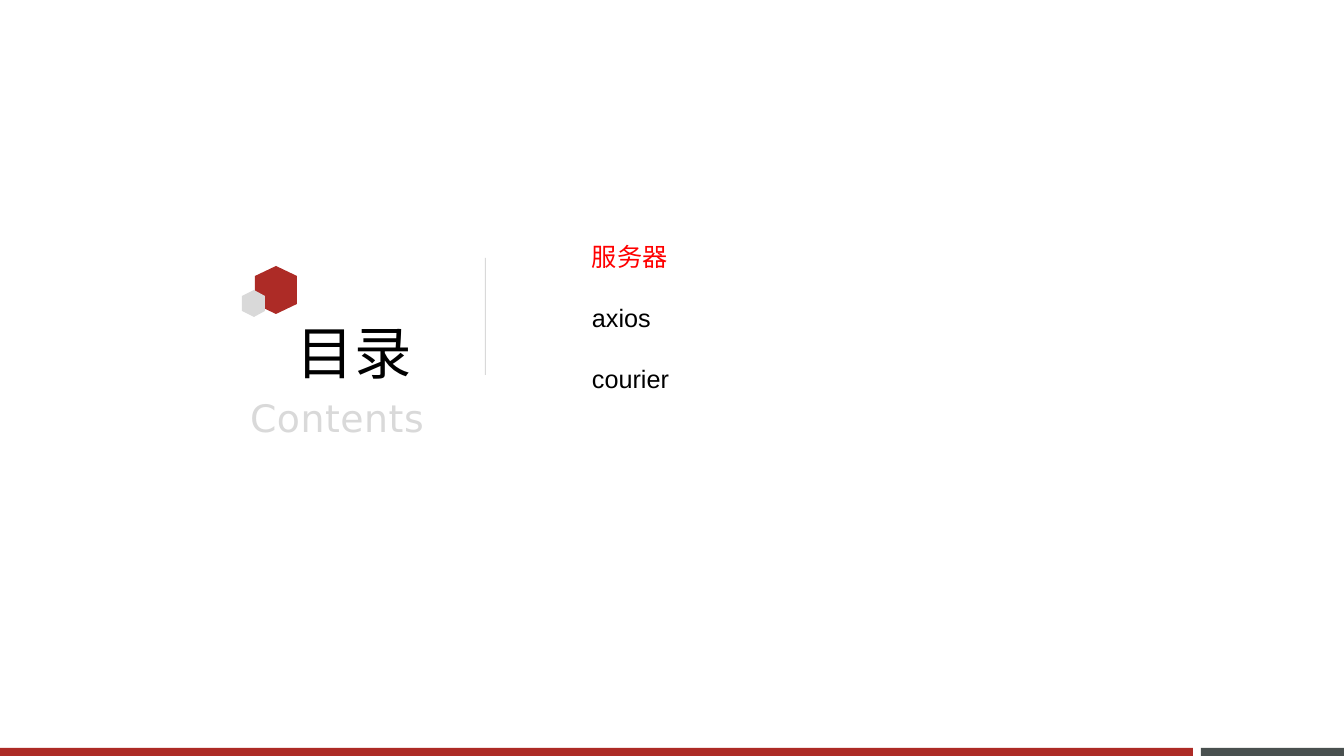
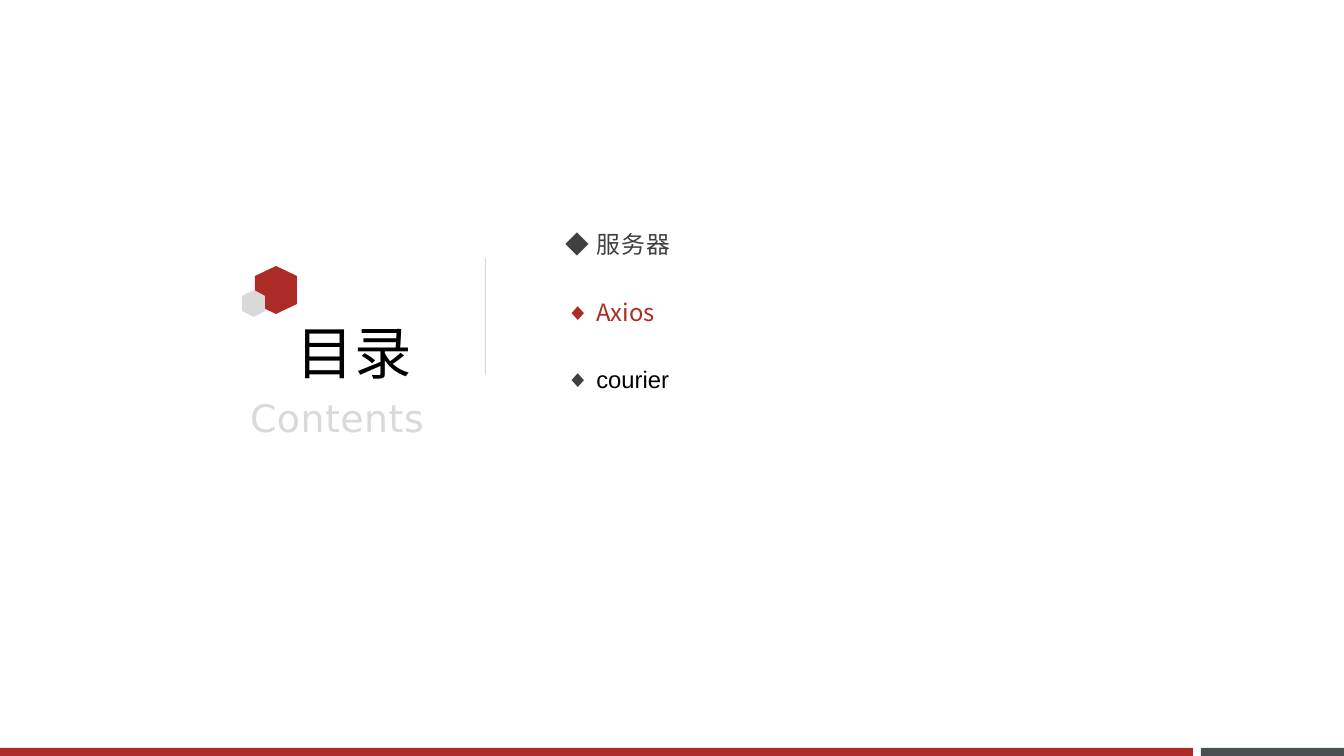
"""Build two contents slides that share a heading, a hexagon mark and a footer band."""
from lxml import etree
from pptx import Presentation
from pptx.dml.color import RGBColor
from pptx.enum.shapes import MSO_SHAPE
from pptx.enum.text import MSO_AUTO_SIZE
from pptx.oxml.ns import qn
from pptx.util import Pt

RECTANGLE = MSO_SHAPE.RECTANGLE
FIT_SHAPE = MSO_AUTO_SIZE.SHAPE_TO_FIT_TEXT
PX = 914400 / 100.8
RED, GREY, SLATE = "AD2B26", "D9D9D9", "49504F"
BLACK, DARK, BRIGHT_RED = "000000", "404040", "FF0000"
LATIN, CHINESE, ROUND = "Arial", "Noto Sans CJK SC", "DejaVu Sans"

HEXAGONS = [(255, 266, 42, 48, RED), (242, 290, 23, 27, GREY)]
BARS = [
    (1201, 748, 143, 8, SLATE),
    (0, 748, 1193, 8, RED),
    (485, 258, 1, 117, GREY),
]
HEADING = [
    [("目录", 41, CHINESE, BLACK, 1)],
    [("Contents", 27, ROUND, GREY, 0.4)],
]
PLAIN_TOPICS = [
    [("服务器", 18, LATIN, BRIGHT_RED, 0)],
    [("axios", 18, LATIN, BLACK, 0)],
    [("courier", 18, LATIN, BLACK, 0)],
]
MARKED_TOPICS = [
    [("◆ ", 17, LATIN, DARK, 0), ("服务器", 17, CHINESE, DARK, 1)],
    [("◆ ", 17, LATIN, RED, 0), ("Axios", 17, CHINESE, RED, 0)],
    [("◆ ", 17, LATIN, DARK, 0), ("courier", 17, LATIN, BLACK, 0)],
]


def paint(shape, color):
    """Give a shape a plain fill without line or shadow."""
    shape.shadow.inherit = False
    shape.fill.solid()
    shape.fill.fore_color.rgb = RGBColor.from_string(color)
    shape.line.fill.background()


def add_text(slide, box, lines, inset=0):
    """Add a text box whose lines are lists of formatted runs."""
    frame = slide.shapes.add_textbox(*(round(v * PX) for v in box)).text_frame
    frame.word_wrap = True
    frame.margin_left = frame.margin_right = round(inset * PX)
    frame.margin_top = frame.margin_bottom = round(inset / 2 * PX)
    frame.text = "\n".join("" for line in lines)
    for paragraph, line in zip(frame.paragraphs, lines):
        for text, size, font, color, spacing in line:
            run = paragraph.add_run()
            run.text = text
            run.font.size = Pt(size)
            run.font.name = font
            run.font.color.rgb = RGBColor.from_string(color)
            properties = run._r.get_or_add_rPr()
            properties.set("spc", str(round(spacing * 100)))
            etree.SubElement(properties, qn("a:ea")).set("typeface", font)
    return frame


prs = Presentation()
prs.slide_width = round(1344 * PX)
prs.slide_height = round(756 * PX)
blank = prs.slide_layouts[6]
slides = [prs.slides.add_slide(blank) for _ in range(2)]

for slide in slides:
    heading = add_text(slide, (240, 323, 184, 130), HEADING)
    title, subtitle = heading.paragraphs
    title.line_spacing = 0.93
    subtitle.line_spacing = Pt(38)
    for paragraph, indent in ((title, 56), (subtitle, 10)):
        paragraph._p.get_or_add_pPr().set("marL", str(round(indent * PX)))

    for left, top, width, height, color in HEXAGONS:
        middle, right, bottom = left + width / 2, left + width, top + height
        shoulder = height * 0.21
        outline = slide.shapes.build_freeform(middle, top, PX)
        outline.add_line_segments([
            (right, top + shoulder),
            (right, bottom - shoulder),
            (middle, bottom),
            (left, bottom - shoulder),
            (left, top + shoulder),
        ])
        paint(outline.convert_to_shape(), color)

    for *box, color in BARS:
        paint(slide.shapes.add_shape(RECTANGLE, *(round(v * PX) for v in box)), color)

plain = add_text(slides[0], (582, 236, 117, 162), PLAIN_TOPICS, inset=10)
plain.word_wrap = False
plain.auto_size = FIT_SHAPE
for paragraph in plain.paragraphs[1:]:
    paragraph.space_before = Pt(22)

marked = add_text(slides[1], (566, 228, 303, 234), MARKED_TOPICS)
for paragraph in marked.paragraphs:
    paragraph.line_spacing = Pt(22)
for paragraph in marked.paragraphs[1:]:
    paragraph.space_before = Pt(26)

prs.save("out.pptx")
